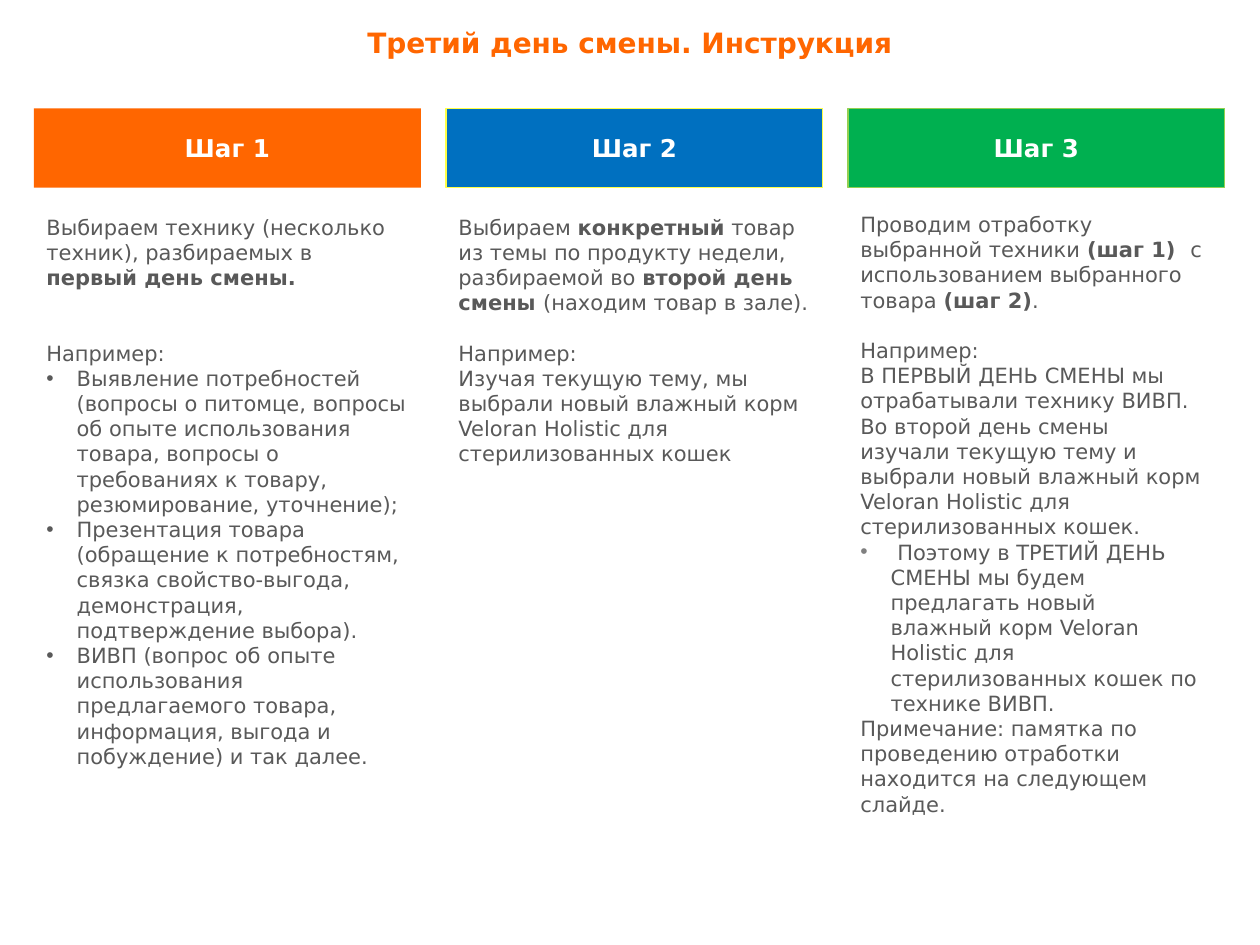
import pptx
import pptx.util
import pptx.dml.color
import pptx.enum.shapes
import pptx.enum.text
import pptx.oxml
from pptx.oxml.ns import nsdecls
from pptx.util import Inches, Pt

FONT = "DejaVu Sans"
ORANGE, WHITE, GREY, LIGHT_GREY = "FF6600", "FFFFFF", "595959", "808080"
LINE = 14.4  # height of one body line, in points
CENTER = pptx.enum.text.PP_ALIGN.CENTER


def rgb(code):
    return pptx.dml.color.RGBColor.from_string(code)


class Deck:
    """Holds the text style and the current slide."""

    def __init__(self, prs):
        self.s = prs.slides.add_slide(prs.slide_layouts[6])

    def add_run(self, p, text, size, color, bold=False):
        r = p.add_run()
        r.text = text
        r.font.name, r.font.size, r.font.bold = FONT, Pt(size), bold
        r.font.color.rgb = rgb(color)

    def textbox(self, x, y, w, h):
        tf = self.s.shapes.add_textbox(Inches(x), Inches(y), Inches(w), Inches(h)).text_frame
        tf.word_wrap = True
        return tf

    def title(self, text):
        p = self.textbox(0, 0.15, 10, 0.37).paragraphs[0]
        p.alignment = CENTER
        self.add_run(p, text, 16, ORANGE, True)

    def header(self, x, w, text, fill, line):
        sp = self.s.shapes.add_shape(pptx.enum.shapes.MSO_SHAPE.RECTANGLE,
                                     Inches(x), Inches(0.86), Inches(w), Inches(0.63))
        sp.shadow.inherit = False
        sp.fill.solid()
        sp.fill.fore_color.rgb = rgb(fill)
        if line:
            sp.line.color.rgb = rgb(line)
            sp.line.width = Pt(0.75)
        else:
            sp.line.fill.background()
        p = sp.text_frame.paragraphs[0]
        p.alignment = CENTER
        self.add_run(p, text, 14, WHITE, True)

    def bullet(self, p, color):
        pPr = p._p.get_or_add_pPr()
        indent = Inches(0.24)
        pPr.set("marL", str(indent))
        pPr.set("indent", str(-indent))
        for xml in (f'<a:buClr {nsdecls("a")}><a:srgbClr val="{color}"/></a:buClr>',
                    f'<a:buFont {nsdecls("a")} typeface="Arial"/>',
                    f'<a:buChar {nsdecls("a")} char="•"/>'):
            pPr.append(pptx.oxml.parse_xml(xml))

    def body(self, box, paragraphs):
        """Each paragraph is (runs, blank lines before, bullet colour); odd runs are bold."""
        tf = self.textbox(*box)
        for i, (runs, gap, bullet) in enumerate(paragraphs):
            p = tf.add_paragraph() if i else tf.paragraphs[0]
            if gap:
                p.space_before = Pt(gap * LINE)
            if bullet:
                self.bullet(p, bullet)
            for j, text in enumerate(runs):
                self.add_run(p, text, 12, GREY, j % 2 == 1)


def para(*runs, gap=0, bullet=None):
    return runs, gap, bullet


STEPS = [
    (0.27, 3.07, ORANGE, None, (0.27, 1.65, 3.07, 4.96), [
        para("Выбираем технику (несколько техник), разбираемых в ", "первый день смены."),
        para("Например:", gap=2),
        para("Выявление потребностей (вопросы о питомце, вопросы об опыте использования товара, "
             "вопросы о требованиях к товару, резюмирование, уточнение);", bullet=GREY),
        para("Презентация товара (обращение к потребностям, связка свойство-выгода, "
             "демонстрация, подтверждение выбора).", bullet=GREY),
        para("ВИВП (вопрос об опыте использования предлагаемого товара, информация, "
             "выгода и побуждение) и так далее.", bullet=GREY),
    ]),
    (3.54, 2.99, "0070C0", "FFFF47", (3.54, 1.65, 2.99, 2.99), [
        para("Выбираем ", "конкретный", " товар из темы по продукту недели, разбираемой во ",
             "второй день смены ", "(находим товар в зале)."),
        para("Например:", gap=1),
        para("Изучая текущую тему, мы выбрали новый влажный корм Veloran Holistic "
             "для стерилизованных кошек"),
    ]),
    (6.73, 2.99, "00B050", "92D050", (6.73, 1.63, 2.91, 4.96), [
        para("Проводим отработку выбранной техники ", "(шаг 1)  ",
             "с использованием выбранного товара ", "(шаг 2)", "."),
        para("Например:", gap=1),
        para("В ПЕРВЫЙ ДЕНЬ СМЕНЫ мы отрабатывали технику ВИВП. Во второй день смены изучали "
             "текущую тему и выбрали новый влажный корм Veloran Holistic "
             "для стерилизованных кошек."),
        para(" Поэтому в ТРЕТИЙ ДЕНЬ СМЕНЫ мы будем предлагать новый влажный корм "
             "Veloran Holistic для стерилизованных кошек по технике ВИВП.", bullet=LIGHT_GREY),
        para("Примечание: памятка по проведению отработки находится на следующем слайде."),
    ]),
]


def main():
    prs = pptx.Presentation()
    prs.slide_width, prs.slide_height = Inches(10), Inches(7.5)
    deck = Deck(prs)
    deck.title("Третий день смены. Инструкция")
    for n, (x, w, fill, line, box, paragraphs) in enumerate(STEPS, 1):
        deck.header(x, w, f"Шаг {n}", fill, line)
        deck.body(box, paragraphs)
    prs.save("out.pptx")


if __name__ == "__main__":
    main()
